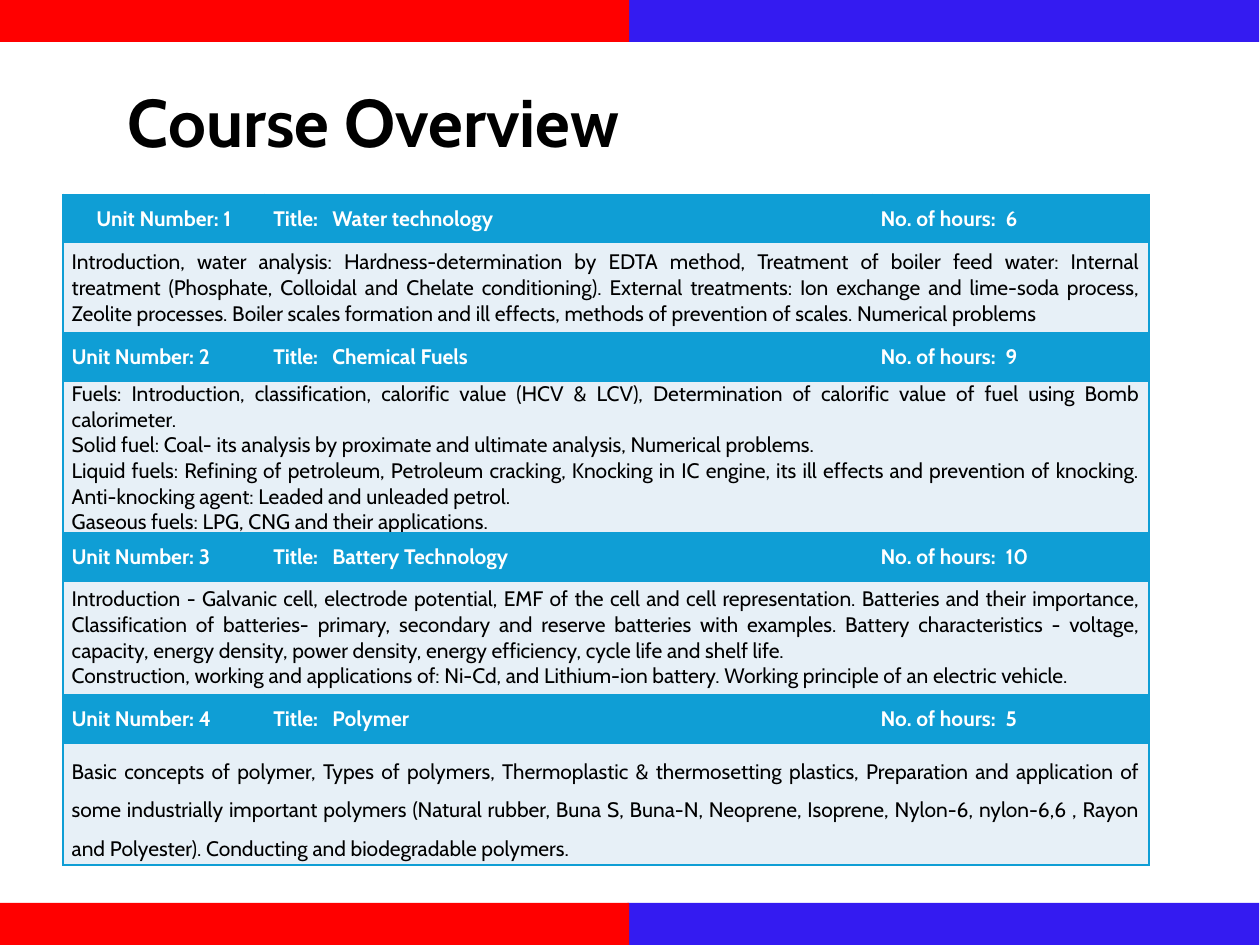
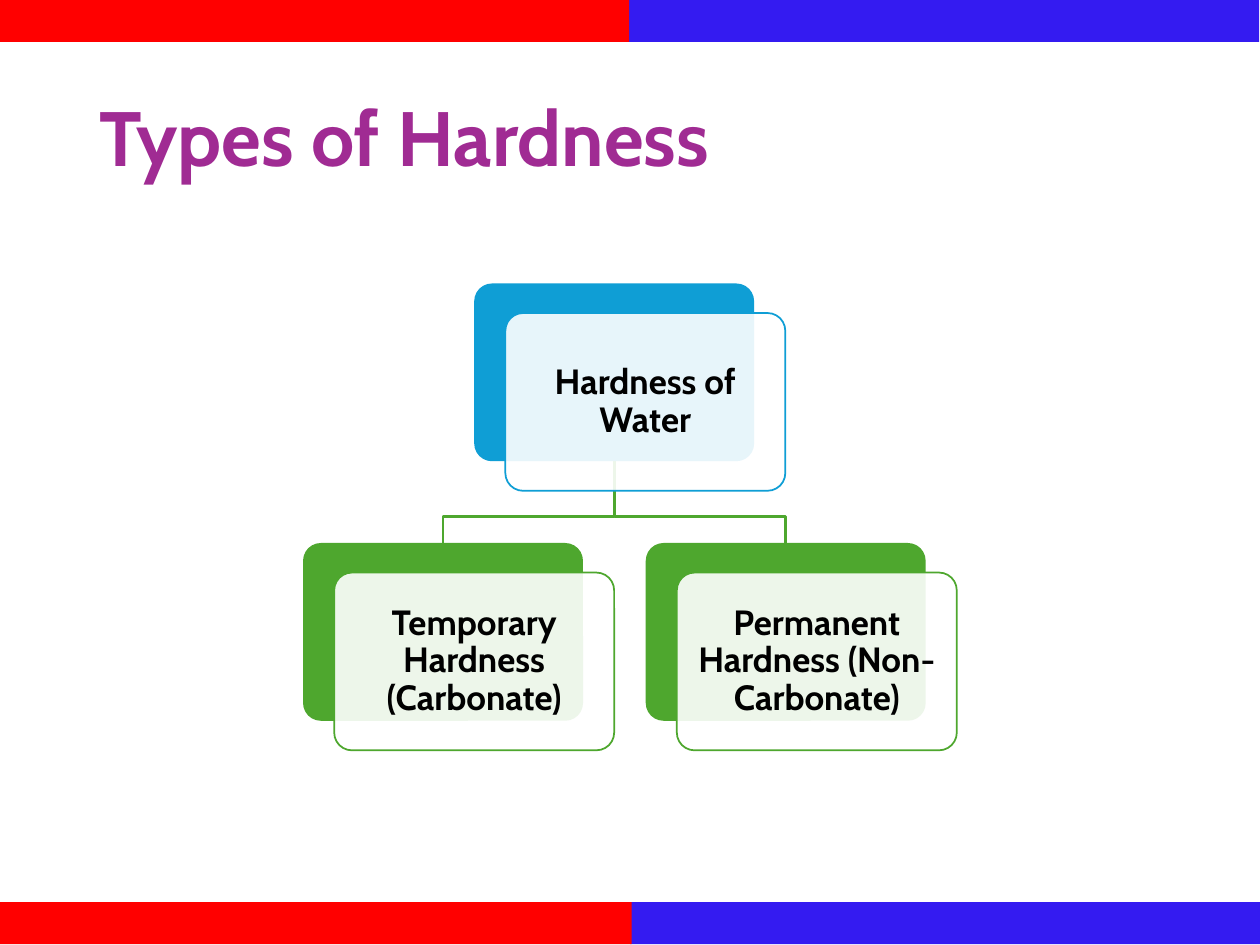
from lxml import etree
from pptx import Presentation
from pptx.dml.color import RGBColor
from pptx.enum import shapes, text
from pptx.oxml import ns
from pptx.util import Pt

FONT = "Cabin"
COLORS = {
    "red": "FF0000", "indigo": "341BF1", "purple": "A02B93", "black": "000000",
    "white": "FFFFFF", "blue": "0F9ED5", "green": "4EA72E", "pale": "E7F0F7",
}

# Title text, size, colour, box (left, top, width, height)
OVERVIEW_TITLE = ("Course Overview", 38.5, "black", (66, 32.4, 441.4, 78.5))
HARDNESS_TITLE = ("Types of Hardness", 44, "purple", (49.7, 28.8, 620.6, 104.4))

# Unit name, hours, syllabus paragraphs, row height, line spacing
UNITS = [
    ("Water technology", 6, [
        "Introduction, water analysis: Hardness-determination by EDTA method, Treatment of "
        "boiler feed water: Internal treatment (Phosphate, Colloidal and Chelate conditioning). "
        "External treatments: Ion exchange and lime-soda process, Zeolite processes. Boiler "
        "scales formation and ill effects, methods of prevention of scales. Numerical problems",
    ], 51.5, 1),
    ("Chemical Fuels", 9, [
        "Fuels: Introduction, classification, calorific value (HCV & LCV), Determination of "
        "calorific value of fuel using Bomb calorimeter.",
        "Solid fuel: Coal- its analysis by proximate and ultimate analysis, Numerical problems.",
        "Liquid fuels: Refining of petroleum, Petroleum cracking, Knocking in IC engine, its ill "
        "effects and prevention of knocking. Anti-knocking agent: Leaded and unleaded petrol.",
        "Gaseous fuels: LPG, CNG and their applications.",
    ], 78, 1),
    ("Battery Technology", 10, [
        "Introduction - Galvanic cell, electrode potential, EMF of the cell and cell "
        "representation. Batteries and their importance, Classification of batteries- primary, "
        "secondary and reserve batteries with examples. Battery characteristics - voltage, "
        "capacity, energy density, power density, energy efficiency, cycle life and shelf life.",
        "Construction, working and applications of: Ni-Cd, and Lithium-ion battery. Working "
        "principle of an electric vehicle.",
    ], 65, 1),
    ("Polymer", 5, [
        "Basic concepts of polymer, Types of polymers, Thermoplastic & thermosetting plastics, "
        "Preparation and application of some industrially important polymers (Natural rubber, "
        "Buna S, Buna-N, Neoprene, Isoprene, Nylon-6, nylon-6,6 , Rayon and Polyester). "
        "Conducting and biodegradable polymers.",
    ], 69.5, 1.5),
]
TABLE_LEFT, TABLE_TOP = 36, 111
COLUMN_WIDTHS = (115.2, 347, 158.4)
HEADING_HEIGHT = 27.7
NAME_TAB, HOURS_TAB = 33.7, 71.4

# Label, colour, left, top of the back card; the first is the parent of the others
ROOT = ("Hardness of Water", "blue", 271, 162)
KINDS = [
    ("Temporary Hardness (Carbonate)", "green", 173.2, 310.3),
    ("Permanent Hardness (Non-Carbonate)", "green", 369, 310.3),
]
CARD_WIDTH, CARD_HEIGHT = 160, 101.6
FRONT_SHIFT = (17.8, 16.9)
BRANCH_Y = 295.2

BAND_WIDTH, BAND_HEIGHT = 361, 24


def rgb(color):
    return RGBColor.from_string(COLORS[color])


def style(paragraph, size, color, bold=True, align=None, spacing=None):
    paragraph.font.name = FONT
    paragraph.font.size = Pt(size)
    paragraph.font.bold = bold
    paragraph.font.color.rgb = rgb(color)
    paragraph.alignment = align
    paragraph.line_spacing = spacing


def add_block(slide, kind, box, fill):
    block = slide.shapes.add_shape(kind, *map(Pt, box))
    block.shadow.inherit = False
    block.fill.solid()
    block.fill.fore_color.rgb = rgb(fill)
    block.line.fill.background()
    return block


def add_bands(slide, left, top):
    for x, color in ((left + BAND_WIDTH - 1, "indigo"), (left, "red")):
        add_block(slide, shapes.MSO_SHAPE.RECTANGLE, (x, top, BAND_WIDTH, BAND_HEIGHT), color)


def add_framed_slide(deck, title, footer_left, footer_top):
    """Add a slide with its title and the bands along both edges."""
    slide = deck.slides.add_slide(deck.slide_layouts[6])
    add_bands(slide, -1.5, 0)
    add_bands(slide, footer_left, footer_top)
    wording, size, color, box = title
    frame = slide.shapes.add_textbox(*map(Pt, box)).text_frame
    frame.word_wrap = True
    frame.vertical_anchor = text.MSO_ANCHOR.MIDDLE
    frame.text = wording
    style(frame.paragraphs[0], size, color, spacing=0.9)
    return slide


def add_tab(paragraph, position):
    tabs = etree.SubElement(paragraph._p.get_or_add_pPr(), ns.qn("a:tabLst"))
    etree.SubElement(tabs, ns.qn("a:tab"), pos=str(Pt(position)), algn="l")


def fill_cell(cell, paragraphs, fill, tab=None, **font):
    cell.margin_left = cell.margin_right = Pt(5)
    cell.margin_top = cell.margin_bottom = 0
    cell.vertical_anchor = text.MSO_ANCHOR.MIDDLE
    cell.text_frame.text = "\n".join(paragraphs)
    for paragraph in cell.text_frame.paragraphs:
        if tab:
            add_tab(paragraph, tab)
        style(paragraph, 12, **font)
    properties = cell._tc.get_or_add_tcPr()
    for side in ("lnL", "lnR", "lnT", "lnB"):
        border = etree.SubElement(properties, ns.qn(f"a:{side}"), w=str(Pt(1)))
        solid = etree.SubElement(border, ns.qn("a:solidFill"))
        etree.SubElement(solid, ns.qn("a:srgbClr"), val=COLORS["blue"])
    cell.fill.solid()
    cell.fill.fore_color.rgb = rgb(fill)


def add_units(slide):
    heights = [h for unit in UNITS for h in (HEADING_HEIGHT, unit[3])]
    box = (TABLE_LEFT, TABLE_TOP, sum(COLUMN_WIDTHS), sum(heights))
    table = slide.shapes.add_table(len(heights), len(COLUMN_WIDTHS), *map(Pt, box)).table
    table.first_row = table.horz_banding = False
    for column, width in zip(table.columns, COLUMN_WIDTHS):
        column.width = Pt(width)
    for row, height in zip(table.rows, heights):
        row.height = Pt(height)
    for index, (name, hours, syllabus, _, spacing) in enumerate(UNITS):
        heading = 2 * index
        labels = ((f"Unit Number: {index + 1}", None), (f"Title:\t{name}", NAME_TAB),
                  (f"No. of hours:\t{hours}", HOURS_TAB))
        for column, (label, tab) in enumerate(labels):
            centred = index == column == 0
            fill_cell(table.cell(heading, column), [label], "blue", tab, color="white",
                      align=text.PP_ALIGN.CENTER if centred else text.PP_ALIGN.LEFT)
        body = table.cell(heading + 1, 0)
        body.merge(table.cell(heading + 1, 2))
        fill_cell(body, syllabus, "pale", color="black", bold=False,
                  align=text.PP_ALIGN.JUSTIFY, spacing=spacing)


def add_branch(slide, child):
    """Draw the bent line from the root card down to a child card."""
    start_x, end_x = (card[2] + CARD_WIDTH / 2 for card in (ROOT, child))
    start_y = ROOT[3] + CARD_HEIGHT
    corners = [(start_x, BRANCH_Y), (end_x, BRANCH_Y), (end_x, child[3])]
    builder = slide.shapes.build_freeform(Pt(start_x), Pt(start_y))
    builder.add_line_segments([(Pt(x), Pt(y)) for x, y in corners], close=False)
    branch = builder.convert_to_shape()
    branch.shadow.inherit = False
    branch.fill.background()
    branch.line.color.rgb = rgb("green")
    branch.line.width = Pt(1.5)


def add_card(slide, label, color, left, top):
    """Draw a solid card with a translucent labelled card shifted over it."""
    rounded = shapes.MSO_SHAPE.ROUNDED_RECTANGLE
    size = (CARD_WIDTH, CARD_HEIGHT)
    back = add_block(slide, rounded, (left, top, *size), color)
    front = add_block(slide, rounded, (left + FRONT_SHIFT[0], top + FRONT_SHIFT[1], *size), "white")
    back.adjustments[0] = front.adjustments[0] = 0.1
    tint = front.fill._xPr.find(".//" + ns.qn("a:srgbClr"))
    etree.SubElement(tint, ns.qn("a:alpha"), val="90000")
    front.line.color.rgb = rgb(color)
    front.line.width = Pt(1)
    frame = front.text_frame
    frame.word_wrap = True
    frame.vertical_anchor = text.MSO_ANCHOR.MIDDLE
    frame.margin_left = frame.margin_right = frame.margin_top = frame.margin_bottom = Pt(5.8)
    frame.text = label
    style(frame.paragraphs[0], 20, "black", align=text.PP_ALIGN.CENTER, spacing=0.9)


def main():
    deck = Presentation()
    deck.slide_width, deck.slide_height = Pt(720), Pt(540)
    add_units(add_framed_slide(deck, OVERVIEW_TITLE, -1.5, 516))
    hardness = add_framed_slide(deck, HARDNESS_TITLE, 0, 515.5)
    for kind in reversed(KINDS):
        add_branch(hardness, kind)
    for card in (ROOT, *KINDS):
        add_card(hardness, *card)
    deck.save("out.pptx")


if __name__ == "__main__":
    main()
